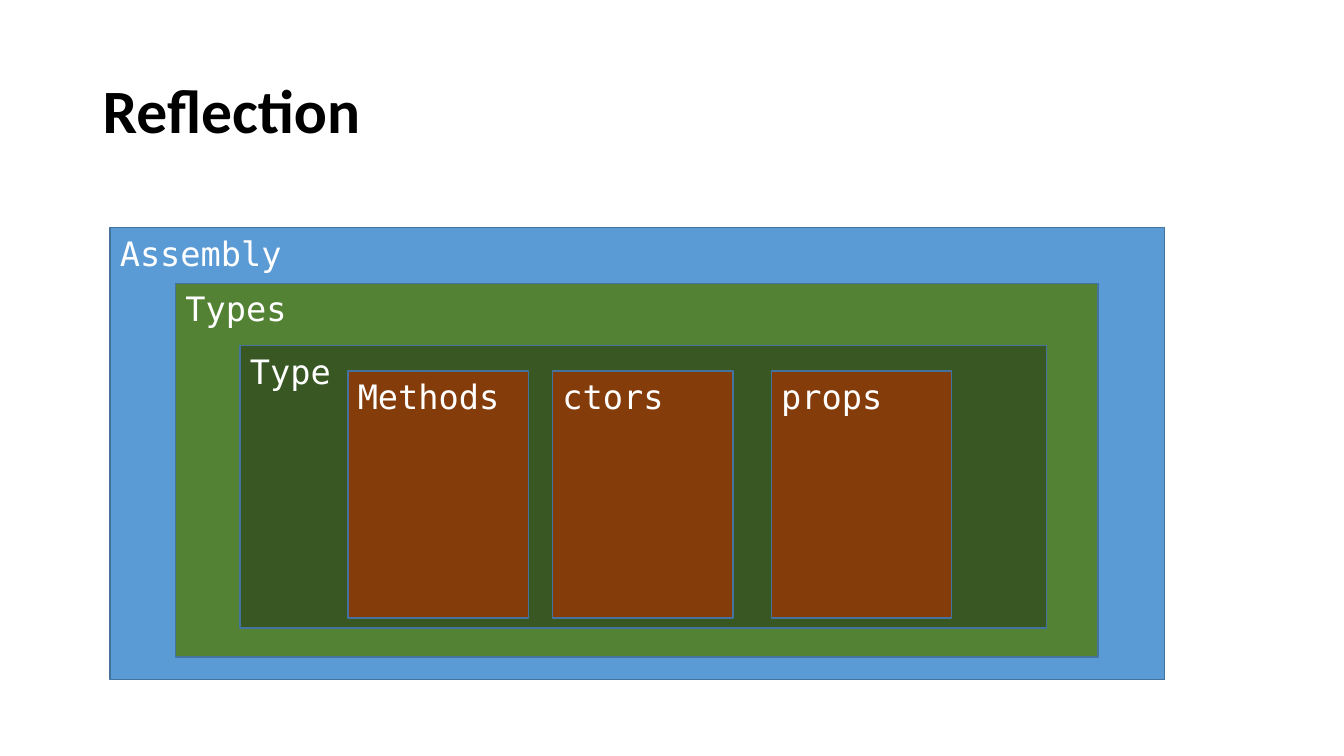
from pptx import Presentation
from pptx.dml.color import RGBColor
from pptx.enum.shapes import MSO_SHAPE
from pptx.enum.text import MSO_ANCHOR, PP_ALIGN
from pptx.util import Inches, Pt

COLORS = {
    "title": "000000",
    "label": "FFFFFF",
    "outline": "43739E",
    "assembly": "5B9BD5",
    "types": "548235",
    "type": "385723",
    "member": "843C0B",
}


class SlideBuilder:
    """Holds the style and the current slide."""

    title_font = "Calibri"
    label_font = "DejaVu Sans Mono"

    def __init__(self, slide):
        """Keep the slide that receives the elements."""
        self.slide = slide

    def set_text(self, shape, text, font, size, color, anchor, bold=False):
        """Put one left-aligned paragraph into a shape and return it."""
        frame = shape.text_frame
        frame.text = text
        frame.word_wrap = True
        frame.vertical_anchor = anchor
        para = frame.paragraphs[0]
        para.alignment = PP_ALIGN.LEFT
        span = para.runs[0]
        span.font.name = font
        span.font.size = Pt(size)
        span.font.bold = bold
        span.font.color.rgb = RGBColor.from_string(COLORS[color])
        return para

    def title(self, text, left, top, width, height):
        """Add the slide title."""
        box = self.slide.shapes.add_textbox(
            Inches(left), Inches(top), Inches(width), Inches(height))
        para = self.set_text(box, text, self.title_font, 44, "title",
                             MSO_ANCHOR.MIDDLE, bold=True)
        para.line_spacing = 0.9

    def block(self, text, color, left, top, width, height):
        """Add a filled rectangle labelled at its top left."""
        box = self.slide.shapes.add_shape(
            MSO_SHAPE.RECTANGLE,
            Inches(left), Inches(top), Inches(width), Inches(height))
        box.shadow.inherit = False
        box.fill.solid()
        box.fill.fore_color.rgb = RGBColor.from_string(COLORS[color])
        box.line.color.rgb = RGBColor.from_string(COLORS["outline"])
        box.line.width = Pt(1)
        self.set_text(box, text, self.label_font, 24, "label", MSO_ANCHOR.TOP)


def main():
    """Build the reflection slide and save the deck."""
    deck = Presentation()
    deck.slide_width = Inches(13.33)
    deck.slide_height = Inches(7.5)
    page = SlideBuilder(deck.slides.add_slide(deck.slide_layouts[6]))

    page.title("Reflection", 0.92, 0.4, 11.5, 1.45)
    page.block("Assembly", "assembly", 1.09, 2.26, 10.46, 4.48)
    page.block("Types", "types", 1.74, 2.81, 9.15, 3.71)
    page.block("Type", "type", 2.38, 3.43, 8, 2.8)
    for name, left in (("Methods", 3.45), ("ctors", 5.48), ("props", 7.65)):
        page.block(name, "member", left, 3.68, 1.79, 2.45)

    deck.save("out.pptx")


main()
